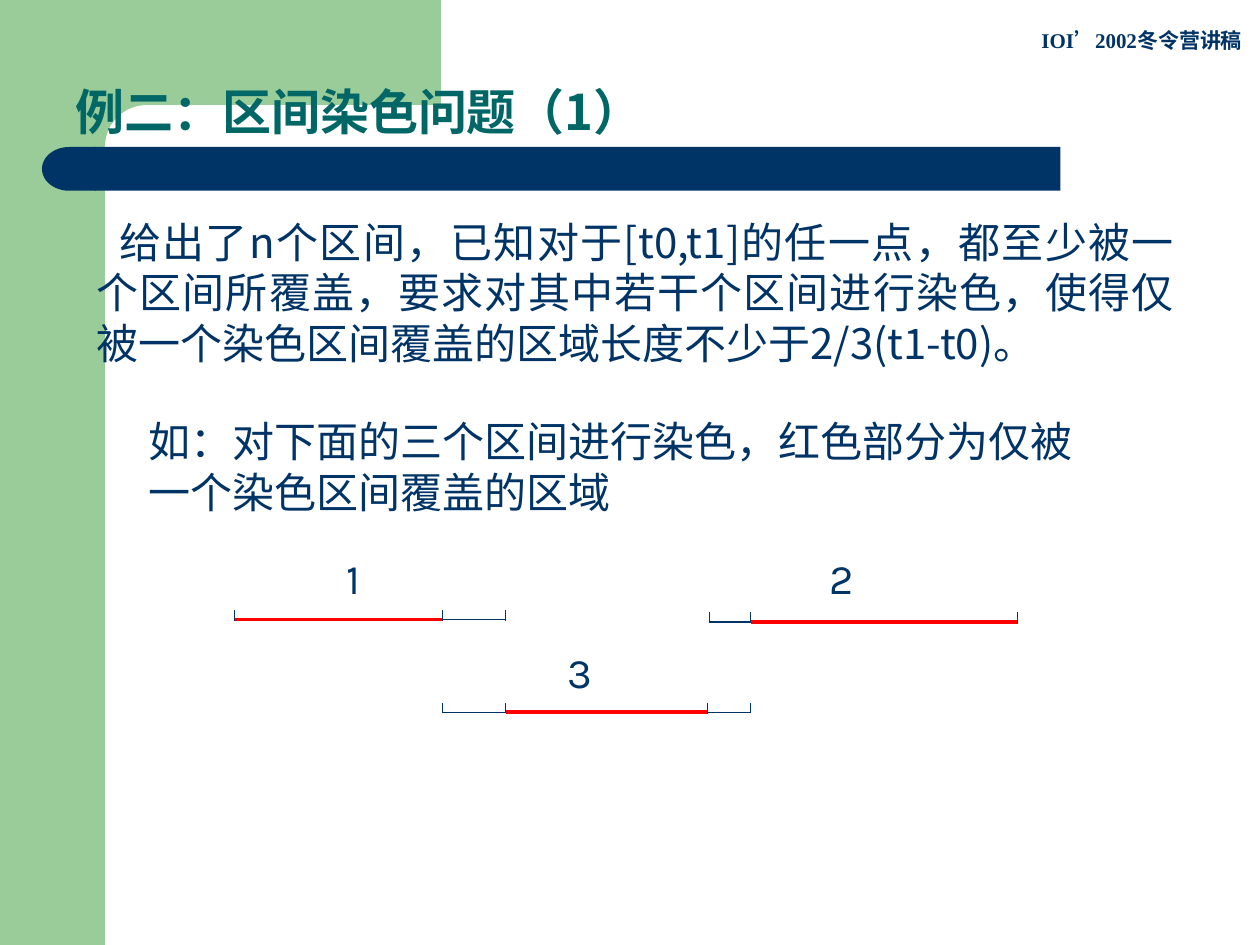
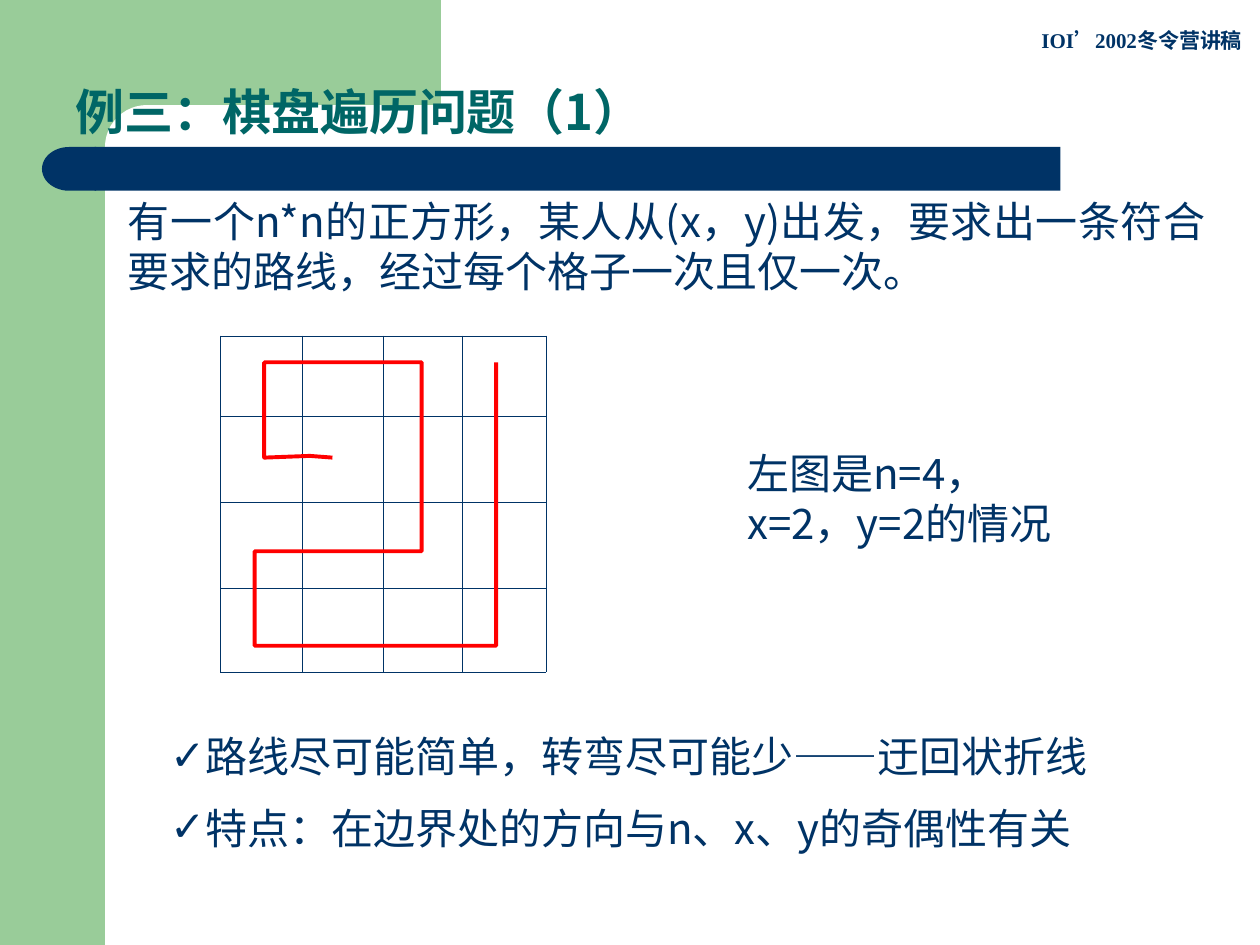
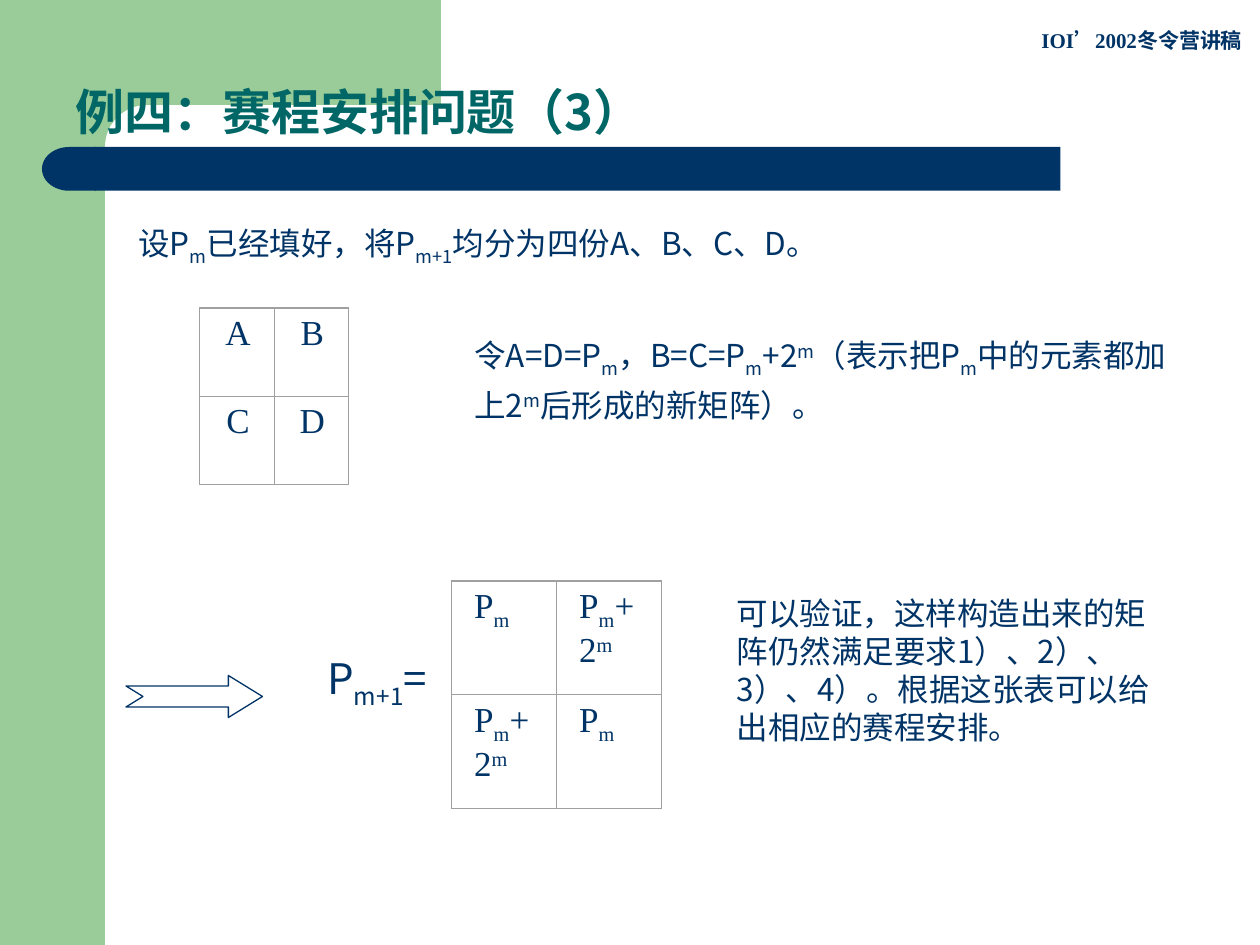
from itertools import pairwise

from lxml.etree import SubElement
from pptx import Presentation
from pptx.dml.color import RGBColor
from pptx.enum.shapes import MSO_CONNECTOR, MSO_SHAPE
from pptx.enum.text import MSO_ANCHOR, MSO_AUTO_SIZE, PP_ALIGN
from pptx.oxml import parse_xml
from pptx.oxml.ns import nsdecls, qn
from pptx.util import Pt

COLORS = {
    "band": "99CC99",
    "paper": "FFFFFF",
    "ink": "003366",
    "title": "006666",
    "route": "FF0000",
    "grid": "A0A0A0",
}
SANS = "Noto Sans CJK SC"
ROUND = "Karla"
SERIF = "Times New Roman"
BASELINES = {"_": "-25000", "^": "30000"}
TITLE_ONLY, TITLE_AND_BODY = 5, 1


class Deck:
    """Holds the shared style and the current slide, and draws each kind of element."""

    def __init__(self):
        self.presentation = Presentation()
        self.presentation.slide_width = Pt(720)
        self.presentation.slide_height = Pt(540)
        self.slide = None

    def color(self, name):
        return RGBColor.from_string(COLORS[name])

    def new_slide(self, title, layout=TITLE_ONLY):
        self.slide = self.presentation.slides.add_slide(
            self.presentation.slide_layouts[layout])
        self.shape(MSO_SHAPE.RECTANGLE, (0, 0, 60, 540), "band")
        self.shape(MSO_SHAPE.RECTANGLE, (54, 0, 198, 84), "band")
        panel = self.shape(MSO_SHAPE.ROUNDED_RECTANGLE, (60, 60, 402, 48), "paper")
        panel.adjustments[0] = 0.5
        self.shape(MSO_SHAPE.RECTANGLE, (54, 84, 552, 25), "ink")
        cap = self.shape(MSO_SHAPE.FLOWCHART_DELAY, (24, 84, 31, 25), "ink")
        cap.rotation = 180
        self.text("IOI’2002冬令营讲稿", (588, 12, 132, 36), 12, SERIF,
                  bold=True, spacing=None)
        self.title(title)

    def place(self, shape, box):
        shape.left, shape.top, shape.width, shape.height = map(Pt, box)

    def title(self, text):
        shape = self.slide.shapes.title
        self.slide.shapes._spTree.append(shape._element)
        self.place(shape, (36, -6, 612, 90))
        frame = shape.text_frame
        frame.auto_size = MSO_AUTO_SIZE.NONE
        frame.vertical_anchor = MSO_ANCHOR.BOTTOM
        paragraph = frame.paragraphs[0]
        self.add_runs(paragraph, text, 28, SANS, "title", bold=True)
        paragraph.alignment = PP_ALIGN.LEFT
        paragraph.line_spacing = 0.9

    def add_runs(self, paragraph, text, size, font, color="ink", bold=False):
        for piece in text.split("|"):
            mark = piece[0] if piece[0] in "_^~" else ""
            run = paragraph.add_run()
            run.text = piece[len(mark):]
            run.font.size = Pt(size)
            run.font.bold = bold
            run.font.name = SANS if mark == "~" else font
            run.font.color.rgb = self.color(color)
            properties = run._r.get_or_add_rPr()
            east_asian = parse_xml(f'<a:ea {nsdecls("a")} typeface="{SANS}"/>')
            properties.find(qn("a:latin")).addnext(east_asian)
            if mark in BASELINES:
                properties.set("baseline", BASELINES[mark])

    def text(self, text, box, size=24, font=SANS, bold=False, spacing=1.2,
             alignment=PP_ALIGN.LEFT, indent=0):
        shape = self.slide.shapes.add_textbox(*map(Pt, box))
        shape.text_frame.word_wrap = True
        paragraph = shape.text_frame.paragraphs[0]
        self.add_runs(paragraph, text, size, font, bold=bold)
        paragraph.alignment = alignment
        if spacing:
            paragraph.line_spacing = Pt(size * spacing)
        if indent:
            paragraph._p.get_or_add_pPr().set("indent", str(Pt(indent)))

    def checklist(self, items, box):
        shape = self.slide.placeholders[1]
        self.place(shape, box)
        frame = shape.text_frame
        frame.auto_size = MSO_AUTO_SIZE.NONE
        for index, item in enumerate(items):
            paragraph = frame.add_paragraph() if index else frame.paragraphs[0]
            self.add_runs(paragraph, item, 24, ROUND)
            paragraph.line_spacing = Pt(28.8)
            paragraph.space_before = Pt(12 if index else 0)
            properties = paragraph._p.get_or_add_pPr()
            properties.set("marL", str(Pt(17)))
            properties.set("indent", str(Pt(-17)))
            bullet_color = SubElement(properties, qn("a:buClr"))
            SubElement(bullet_color, qn("a:srgbClr"), val=COLORS["ink"])
            SubElement(properties, qn("a:buChar"), char="✓")

    def shape(self, kind, box, fill=None):
        shape = self.slide.shapes.add_shape(kind, *map(Pt, box))
        shape.shadow.inherit = False
        if fill:
            shape.fill.solid()
            shape.fill.fore_color.rgb = self.color(fill)
            shape.line.fill.background()
        else:
            self.outline(shape, "ink", 0.75)
        return shape

    def outline(self, shape, color, width):
        shape.fill.background()
        shape.line.color.rgb = self.color(color)
        shape.line.width = Pt(width)

    def line(self, start, end, color="ink", width=0.75):
        connector = self.slide.shapes.add_connector(
            MSO_CONNECTOR.STRAIGHT, *map(Pt, start + end))
        connector.line.color.rgb = self.color(color)
        connector.line.width = Pt(width)
        SubElement(connector._element.spPr, qn("a:effectLst"))

    def interval(self, y, marks, colored):
        for index, (start, end) in enumerate(pairwise(marks)):
            style = ("route", 2.25) if index == colored else ("ink", 0.75)
            self.line((start, y), (end, y), *style)
        for x in marks:
            self.line((x, y - 5.5), (x, y + 0.7))

    def polyline(self, points, color, width):
        start, *others = [(Pt(x), Pt(y)) for x, y in points]
        builder = self.slide.shapes.build_freeform(*start)
        builder.add_line_segments(others, close=False)
        shape = builder.convert_to_shape()
        shape.shadow.inherit = False
        self.outline(shape, color, width)

    def table(self, corner, widths, heights, border, border_width, cells=None,
              alignment=PP_ALIGN.LEFT):
        table = self.slide.shapes.add_table(
            len(heights), len(widths), *map(Pt, corner),
            Pt(sum(widths)), Pt(sum(heights))).table
        table.first_row = table.horz_banding = False
        for column, width in zip(table.columns, widths):
            column.width = Pt(width)
        for row, height in zip(table.rows, heights):
            row.height = Pt(height)
        for index, cell in enumerate(table.iter_cells()):
            cell.fill.background()
            cell.margin_left, cell.margin_right = Pt(13), Pt(12)
            self.borders(cell, border, border_width)
            if cells:
                paragraph = cell.text_frame.paragraphs[0]
                self.add_runs(paragraph, cells[index], 20, SERIF)
                paragraph.alignment = alignment

    def borders(self, cell, color, width):
        properties = cell._tc.get_or_add_tcPr()
        for index, side in enumerate("LRTB"):
            properties.insert(index, parse_xml(
                f'<a:ln{side} {nsdecls("a")} w="{Pt(width)}"><a:solidFill>'
                f'<a:srgbClr val="{COLORS[color]}"/></a:solidFill></a:ln{side}>'))


def interval_slide(deck):
    deck.new_slide("例二：区间染色问题（1）")
    deck.text("给出了n个区间，已知对于[t0,t1]的任一点，都至少被一个区间所覆盖，"
              "要求对其中若干个区间进行染色，使得仅被一个染色区间覆盖的区域长度"
              "不少于2/3(t1-t0)。",
              (48, 120, 630, 137), alignment=PP_ALIGN.JUSTIFY, indent=13)
    deck.text("如：对下面的三个区间进行染色，红色部分为仅被一个染色区间覆盖的区域",
              (78, 234, 552, 65), font=ROUND)
    for label, x, y in (("1", 191, 312), ("2", 467, 312), ("3", 317, 366)):
        deck.text(label, (x, y, 40, 36), font=ROUND)
    deck.interval(354, (134, 253, 289), colored=0)
    deck.interval(355.5, (405.5, 429, 581.5), colored=1)
    deck.interval(407, (253, 289, 404.5, 429), colored=1)


def chessboard_slide(deck):
    deck.new_slide("例三：棋盘遍历问题（1）", TITLE_AND_BODY)
    deck.text("有一个n*n的正方形，某人从(x，y)出发，要求出一条符合要求的路线，"
              "经过每个格子一次且仅一次。",
              (66, 108, 630, 109), alignment=PP_ALIGN.JUSTIFY)
    deck.table((126, 192), (47, 46, 45, 48), (46, 49, 49, 48), "ink", 0.45)
    deck.polyline([(190, 261.5), (177, 260.5), (151, 261.5), (151, 207),
                   (241, 207), (241, 315), (145.5, 315), (145.5, 369),
                   (283.5, 369), (283.5, 207)], "route", 2.25)
    deck.text("左图是n=4，x=2，y=2的情况", (420, 252, 210, 65))
    deck.checklist(["路线尽可能简单，转弯尽可能少——迂回状折线",
                    "特点：在边界处的方向与|~n、x、y|的奇偶性有关"],
                   (90, 414, 540, 120))


def schedule_slide(deck):
    deck.new_slide("例四：赛程安排问题（3）")
    deck.text("设P|_m|已经填好，将P|_m+1|均分为四份A、B、C、D。",
              (72, 127.5, 618, 32), 18)
    deck.table((114.25, 176), (42.5, 42.5), (50.5, 50.5), "grid", 0.75,
               "ABCD", PP_ALIGN.CENTER)
    deck.text("令A=D=P|_m|，B=C=P|_m|+2|^m|（表示把P|_m|中的元素都加上2|^m|"
              "后形成的新矩阵）。", (264, 188, 420, 53), 18, spacing=1.4)
    deck.text("可以验证，这样构造出来的矩阵仍然满足要求1）、2）、3）、4）。"
              "根据这张表可以给出相应的赛程安排。", (414, 336, 258, 94), 18)
    same, shifted = "P|_m", "P|_m|+2|^m"
    deck.table((258, 332), (60, 60), (65, 65), "grid", 0.75,
               (same, shifted, shifted, same))
    arrow = deck.shape(MSO_SHAPE.NOTCHED_RIGHT_ARROW, (72, 386, 78, 24))
    arrow.adjustments[0] = 0.5
    arrow.adjustments[1] = 0.81
    deck.text("P|_m+1|=", (180, 373.5, 96, 40))


def main():
    deck = Deck()
    interval_slide(deck)
    chessboard_slide(deck)
    schedule_slide(deck)
    deck.presentation.save("out.pptx")


if __name__ == "__main__":
    main()
